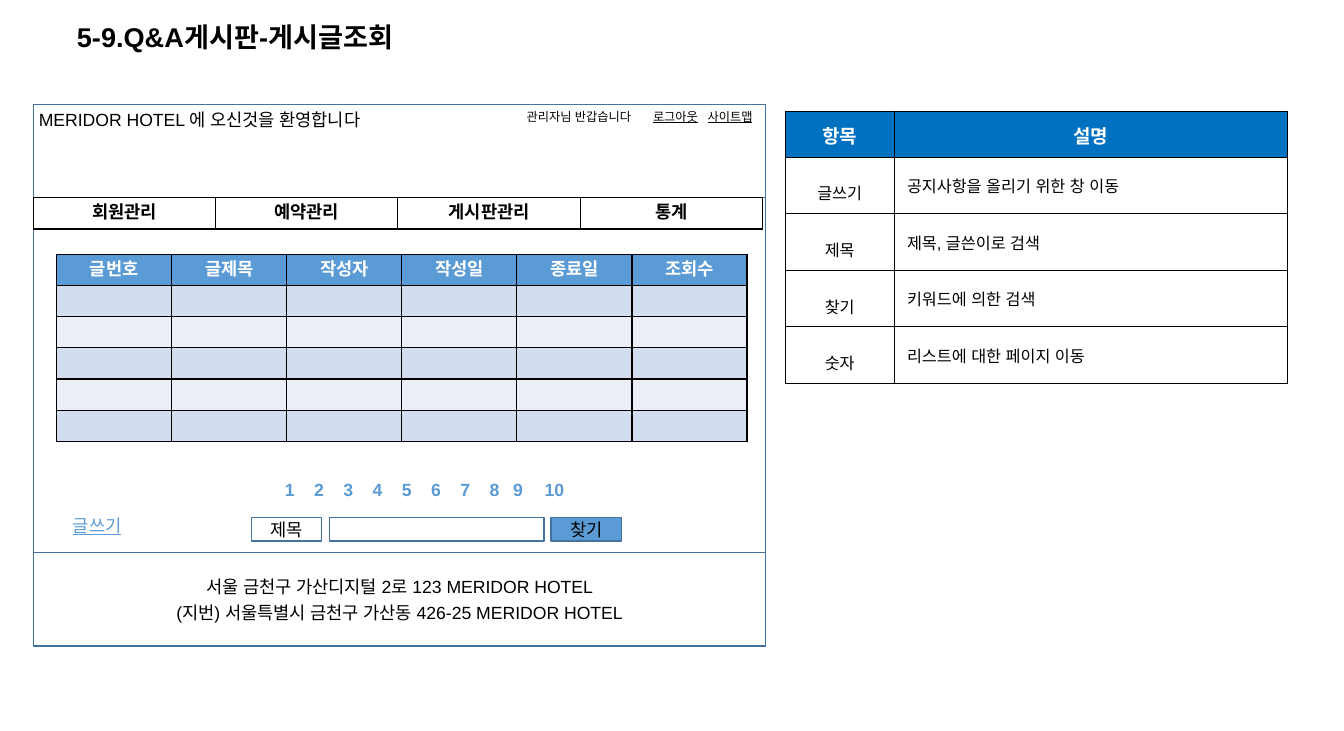
from lxml.etree import SubElement
from pptx import Presentation
from pptx.dml.color import RGBColor
from pptx.enum.shapes import MSO_SHAPE
from pptx.enum.text import MSO_ANCHOR, PP_ALIGN
from pptx.oxml.ns import qn
from pptx.util import Inches, Pt

BLACK, WHITE, BLUE, EDGE, HEADER = "000000", "FFFFFF", "5B9BD5", "43739E", "0070C0"
BANDS = ("D2DEEF", "EAEFF7")

TITLE = "5-9.Q&A게시판-게시글조회"
WELCOME = "MERIDOR HOTEL 에 오신것을 환영합니다"
# text, left, width, underlined
ACCOUNT = [
    ("관리자님 반갑습니다", 5.25, 1.37, False),
    ("로그아웃", 6.57, 0.71, True),
    ("사이트맵", 7.13, 0.71, True),
]
MENU = ["회원관리", "예약관리", "게시판관리", "통계"]
POST_FIELDS = ["글번호", "글제목", "작성자", "작성일", "종료일", "조회수"]
POST_ROWS = 5
PAGE_WIDTHS = [0.3] * 7 + [0.24, 0.29, 0.47]
WRITE_LINK = "글쓰기"
# text, left, width, fill
SEARCH = [("제목", 2.58, 0.72, None), ("", 3.38, 2.2, None), ("찾기", 5.65, 0.72, BLUE)]
ADDRESS = [
    "서울 금천구 가산디지털 2로 123 MERIDOR HOTEL",
    "(지번) 서울특별시 금천구 가산동 426-25 MERIDOR HOTEL",
]
DESCRIPTION_HEAD = ["항목", "설명"]
DESCRIPTIONS = [
    ("글쓰기", "공지사항을 올리기 위한 창 이동"),
    ("제목", "제목, 글쓴이로 검색"),
    ("찾기", "키워드에 의한 검색"),
    ("숫자", "리스트에 대한 페이지 이동"),
]

SCREEN_LEFT, SCREEN_TOP, SCREEN_WIDTH, SCREEN_HEIGHT = 0.34, 1.07, 7.51, 5.55
BAND_HEIGHT = 0.96
FOOTER_TOP = 5.67

prs = Presentation()
prs.slide_width, prs.slide_height = Inches(13.78), Inches(7.5)
slide = prs.slides.add_slide(prs.slide_layouts[6])


def rgb(code):
    return RGBColor.from_string(code)


def box(left, top, width, height):
    return [Inches(n) for n in (left, top, width, height)]


def paint(fill, color):
    if color:
        fill.solid()
        fill.fore_color.rgb = rgb(color)
    else:
        fill.background()


def set_percent(paragraph, tag, percent):
    """Turn a paragraph's spacing into a share of its line height."""
    spacing = paragraph._p.pPr.find(qn(tag))
    spacing.clear()
    SubElement(spacing, qn("a:spcPct"), val=str(percent * 1000))


def write(frame, lines, size=13, color=BLACK, bold=False, underline=False,
          align=PP_ALIGN.CENTER, font="Arial", before=30, after=0, spacing=None):
    for i, line in enumerate(lines):
        paragraph = frame.paragraphs[0] if i == 0 else frame.add_paragraph()
        paragraph.alignment = align
        if spacing:
            paragraph.line_spacing = spacing
        if before:
            paragraph.space_before = Pt(0)
            set_percent(paragraph, "a:spcBef", before)
        if after:
            paragraph.space_after = Pt(0)
            set_percent(paragraph, "a:spcAft", after)
        if not line:
            SubElement(paragraph._p, qn("a:endParaRPr"), sz="1100")
            continue
        run = paragraph.add_run()
        run.text = line
        run.font.size, run.font.name = Pt(size), font
        run.font.bold, run.font.underline = bold, underline
        run.font.color.rgb = rgb(color)
        SubElement(run._r.get_or_add_rPr(), qn("a:ea"), typeface=font)


def add_text(lines, left, top, width, height, wrap=False,
             anchor=MSO_ANCHOR.TOP, **style):
    frame = slide.shapes.add_textbox(*box(left, top, width, height)).text_frame
    frame.word_wrap = wrap
    frame.vertical_anchor = anchor
    write(frame, lines, **style)


def add_box(left, top, width, height, fill=None):
    shape = slide.shapes.add_shape(MSO_SHAPE.RECTANGLE, *box(left, top, width, height))
    shape.shadow.inherit = False
    paint(shape.fill, fill)
    shape.line.color.rgb = rgb(EDGE)
    shape.line.width = Pt(1)
    return shape


def add_grid(left, top, widths, heights, border=BLACK, border_width=1):
    """Add a table without style banding and with equal borders on all cells."""
    table = slide.shapes.add_table(
        len(heights), len(widths), *box(left, top, sum(widths), sum(heights))).table
    table.first_row = table.horz_banding = False
    for column, width in zip(table.columns, widths):
        column.width = Inches(width)
    for row, height in zip(table.rows, heights):
        row.height = Inches(height)
    for cell in table.iter_cells():
        properties = cell._tc.get_or_add_tcPr()
        for side in ("L", "R", "T", "B"):
            edge = SubElement(properties, qn(f"a:ln{side}"), w=str(Pt(border_width)))
            SubElement(SubElement(edge, qn("a:solidFill")), qn("a:srgbClr"), val=border)
    return table


def fill_row(table, row, texts, fill=None, **style):
    for column, text in enumerate(texts):
        cell = table.cell(row, column)
        paint(cell.fill, fill)
        write(cell.text_frame, [text], **style)


add_text([TITLE], 0.69, 0.21, 11.89, 0.38, wrap=True, anchor=MSO_ANCHOR.MIDDLE,
         size=20, bold=True, align=PP_ALIGN.LEFT, before=0, spacing=0.9)

# Explanation of the screen
description = add_grid(8.05, 1.14, [1.12, 4.03], [0.47] + [0.58] * len(DESCRIPTIONS),
                       border_width=0.25)
for cell in description.iter_cells():
    cell.vertical_anchor = MSO_ANCHOR.MIDDLE
    cell.margin_left = cell.margin_right = Inches(0.13)
fill_row(description, 0, DESCRIPTION_HEAD, HEADER, size=14, color=WHITE, bold=True,
         before=0, after=20, spacing=1.3)
for row, entry in enumerate(DESCRIPTIONS, 1):
    for column, (align, spacing) in enumerate([(PP_ALIGN.CENTER, 2.0), (PP_ALIGN.LEFT, 1.2)]):
        cell = description.cell(row, column)
        paint(cell.fill, WHITE)
        write(cell.text_frame, [entry[column]], size=12, align=align,
              before=10, spacing=spacing)

# Screen frame with header and footer
for top, height in [(SCREEN_TOP, SCREEN_HEIGHT), (SCREEN_TOP, BAND_HEIGHT),
                    (FOOTER_TOP, BAND_HEIGHT)]:
    add_box(SCREEN_LEFT, top, SCREEN_WIDTH, height)
add_text([WELCOME], 0.3, SCREEN_TOP, 3.86, 0.32, align=PP_ALIGN.LEFT)
for text, left, width, underlined in ACCOUNT:
    add_text([text], left, SCREEN_TOP, width, 0.25, size=9, underline=underlined)
add_text(ADDRESS, SCREEN_LEFT, 5.86, SCREEN_WIDTH, 0.6, wrap=True)

menu = add_grid(SCREEN_LEFT, SCREEN_TOP + BAND_HEIGHT, [1.87] * len(MENU), [0.32])
fill_row(menu, 0, MENU, bold=True)

posts = add_grid(0.58, 2.61, [1.18] * len(POST_FIELDS), [0.32] * (POST_ROWS + 1))
fill_row(posts, 0, POST_FIELDS, BLUE, color=WHITE, bold=True)
for row in range(POST_ROWS):
    fill_row(posts, row + 1, [""] * len(POST_FIELDS), BANDS[row % 2], before=0)

# Search and paging
for text, left, width, fill in SEARCH:
    field = add_box(left, 5.31, width, 0.24, fill)
    if text:
        field.text_frame.vertical_anchor = MSO_ANCHOR.MIDDLE
        write(field.text_frame, [text], font="Noto Sans CJK KR")

pages = add_grid(2.82, 4.88, PAGE_WIDTHS, [0.32], border=WHITE)
fill_row(pages, 0, [str(n + 1) for n in range(len(PAGE_WIDTHS))], color=BLUE, bold=True)
add_text([WRITE_LINK], 0.62, 5.23, 0.75, 0.32, color=BLUE, underline=True)

prs.save("out.pptx")
